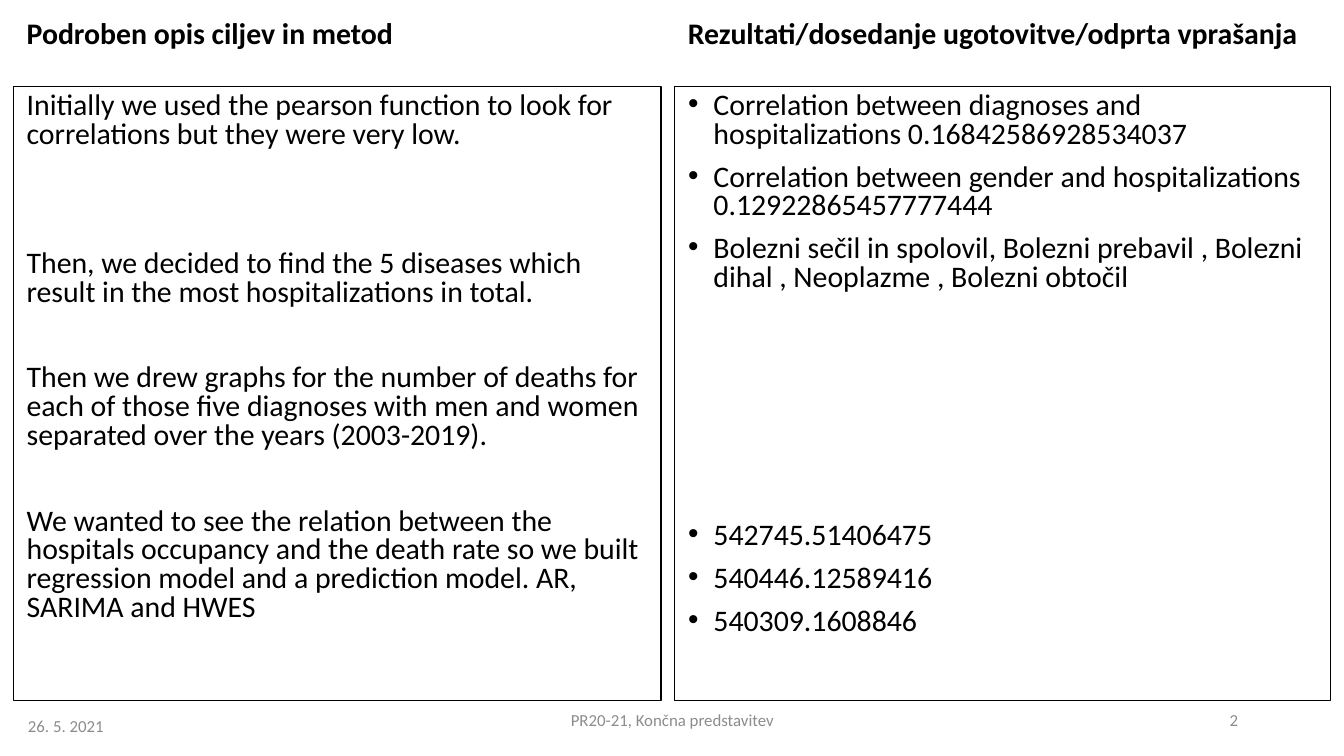
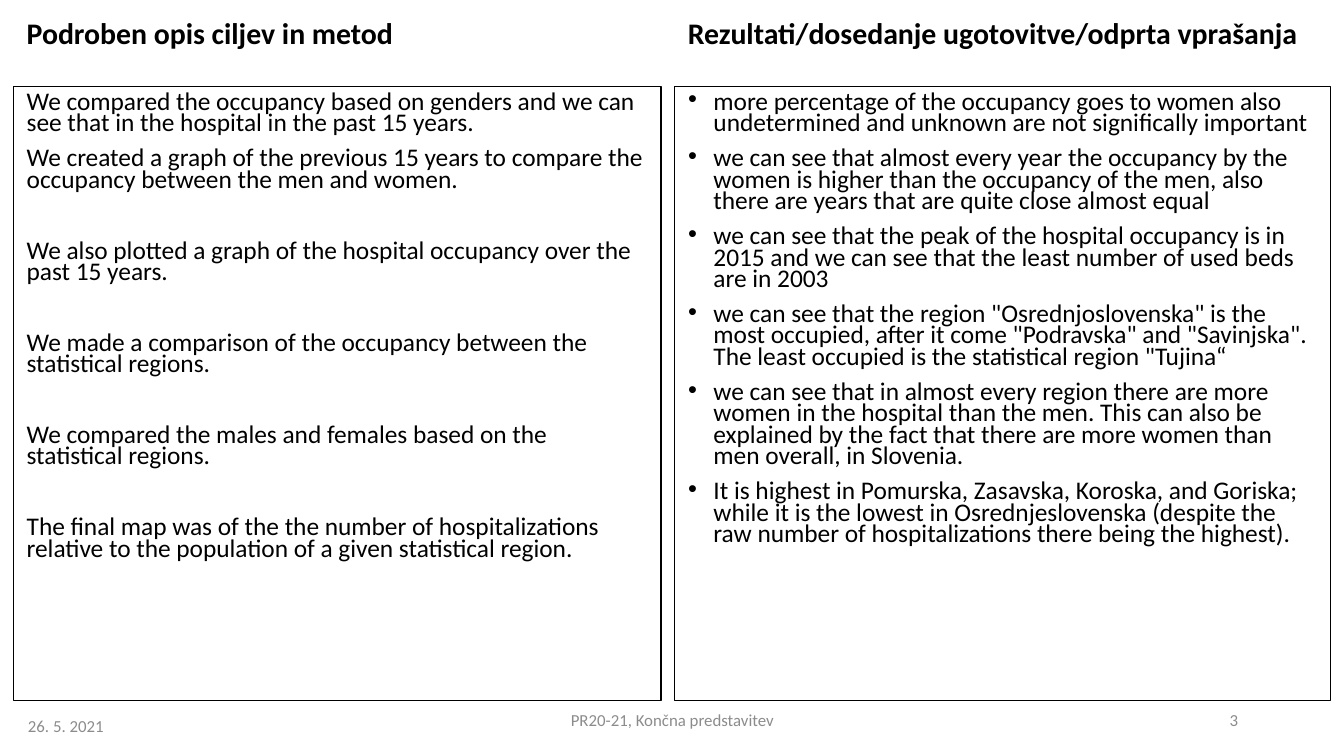
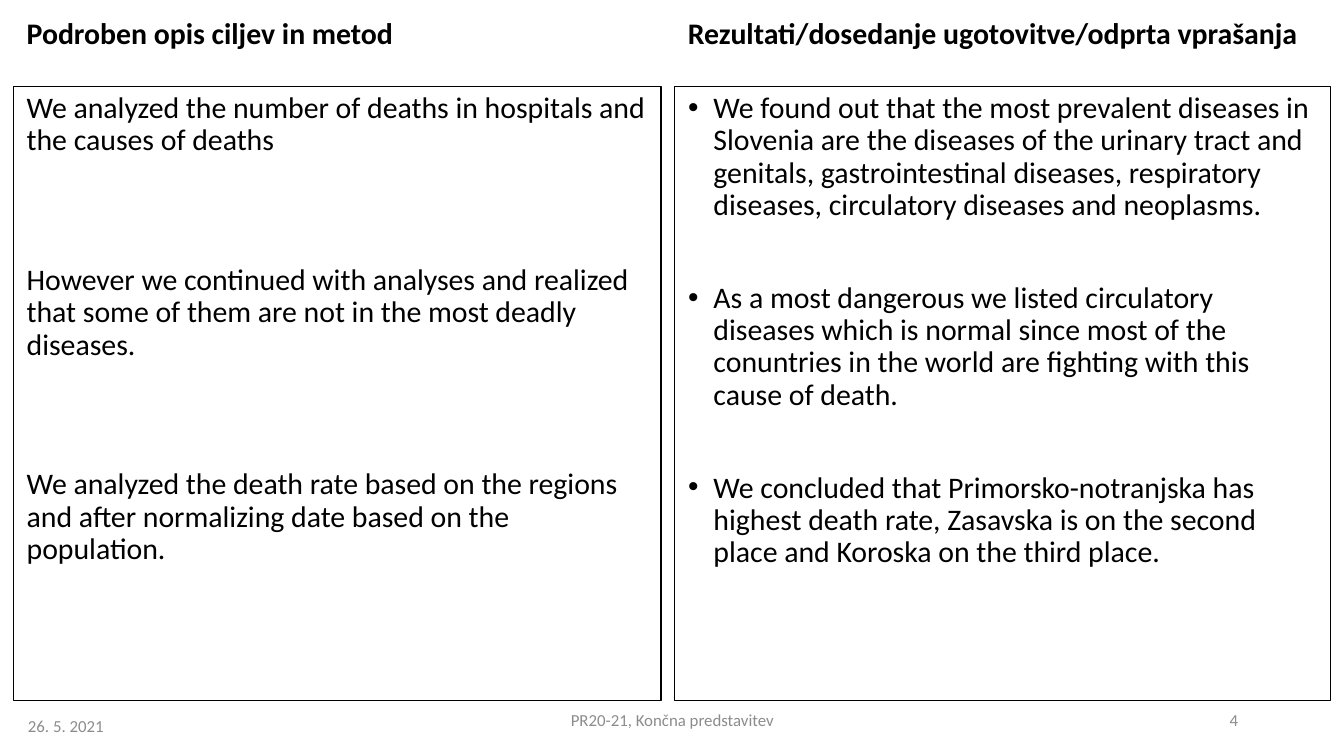
from lxml.etree import SubElement
from pptx import Presentation
from pptx.dml.color import RGBColor
from pptx.enum.text import MSO_ANCHOR, MSO_AUTO_SIZE, PP_ALIGN
from pptx.oxml.ns import qn
from pptx.util import Cm, Pt

COLORS = {"ink": "000000", "muted": "8C8C8C"}
FONT = "Calibri"
SPACE = 7.5  # points before each paragraph
LINE = 1.22  # Calibri line height per point of size
INDENT = Cm(0.48)

# Boxes in cm: left, top, width, height
LEFT = (0.25, 0.23, 12.24, 14.29)
RIGHT = (12.75, 0.23, 12.4, 14.29)
DATE = (0.28, 13.34, 10.44, 0.76)
FOOTER = (8.41, 13.23, 8.59, 0.76)
NUMBER = (17.93, 13.23, 5.72, 0.76)

AIMS = "Podroben opis ciljev in metod"
RESULTS = "Rezultati/dosedanje ugotovitve/odprta vprašanja"

# Each entry is (empty lines above, text)
PAGES = [
    {
        "size": 16, "lines": 0.8,
        "aims": [
            (0, "Initially we used the pearson function to look for correlations but they were very low."),
            (2, "Then, we decided to find the 5 diseases which result in the most hospitalizations in total."),
            (1, "Then we drew graphs for the number of deaths for each of those five diagnoses "
                "with men and women separated over the years (2003-2019)."),
            (1, "We wanted to see the relation between the hospitals occupancy and the death rate "
                "so we built regression model and a prediction model. AR, SARIMA and HWES"),
        ],
        "results": [
            (0, "Correlation between diagnoses and hospitalizations 0.16842586928534037"),
            (0, "Correlation between gender and hospitalizations 0.12922865457777444"),
            (0, "Bolezni sečil in spolovil, Bolezni prebavil , Bolezni dihal , Neoplazme , Bolezni obtočil"),
            (5, "542745.51406475"),
            (0, "540446.12589416"),
            (0, "540309.1608846"),
        ],
    },
    {
        "size": 13.6, "lines": 0.7,
        "aims": [
            (0, "We compared the occupancy based on genders and we can see that in the hospital "
                "in the past 15 years."),
            (0, "We created a graph of the previous 15 years to compare the occupancy "
                "between the men and women."),
            (1, "We also plotted a graph of the hospital occupancy over the past 15 years."),
            (1, "We made a comparison of the occupancy between the statistical regions."),
            (1, "We compared the males and females based on the statistical regions."),
            (1, "The final map was of the the number of hospitalizations relative to the population "
                "of a given statistical region."),
        ],
        "results": [
            (0, "more percentage of the occupancy goes to women also undetermined and unknown "
                "are not significally important"),
            (0, "we can see that almost every year the occupancy by the women is higher than "
                "the occupancy of the men, also there are years that are quite close almost equal"),
            (0, "we can see that the peak of the hospital occupancy is in 2015 and we can see "
                "that the least number of used beds are in 2003"),
            (0, 'we can see that the region "Osrednjoslovenska" is the most occupied, after it come '
                '"Podravska" and "Savinjska". The least occupied is the statistical region "Tujina“'),
            (0, "we can see that in almost every region there are more women in the hospital than the men. "
                "This can also be explained by the fact that there are more women than men overall, "
                "in Slovenia."),
            (0, "It is highest in Pomurska, Zasavska, Koroska, and Goriska; while it is the lowest in "
                "Osrednjeslovenska (despite the raw number of hospitalizations there being the highest)."),
        ],
    },
    {
        "size": 16, "lines": 0.9,
        "aims": [
            (0, "We analyzed the number of deaths in hospitals and the causes of deaths"),
            (2, "However we continued with analyses and realized that some of them are not "
                "in the most deadly diseases."),
            (2, "We analyzed the death rate based on the regions and after normalizing date "
                "based on the population."),
        ],
        "results": [
            (0, "We found out that the most prevalent diseases in Slovenia are the diseases of the "
                "urinary tract and genitals, gastrointestinal diseases, respiratory diseases, "
                "circulatory diseases and neoplasms."),
            (1, "As a most dangerous we listed circulatory diseases which is normal since most of the "
                "conuntries in the world are fighting with this cause of death."),
            (1, "We concluded that Primorsko-notranjska has highest death rate, Zasavska is on the "
                "second place and Koroska on the third place."),
        ],
    },
]


def color(name):
    return RGBColor.from_string(COLORS[name])


def place(shape, left, top, width, height):
    shape.left, shape.top = Cm(left), Cm(top)
    shape.width, shape.height = Cm(width), Cm(height)


def style(para, size, tint="ink", bold=False):
    for run in para.runs:
        font = run.font
        font.name, font.size, font.bold = FONT, Pt(size), bold
        font.color.rgb = color(tint)


def set_frame(shape, anchor):
    frame = shape.text_frame
    frame.word_wrap = True
    frame.auto_size = MSO_AUTO_SIZE.NONE
    frame.vertical_anchor = anchor
    return frame


def add_label(slide, box, text, align):
    shape = slide.shapes.add_textbox(*map(Cm, box))
    frame = set_frame(shape, MSO_ANCHOR.MIDDLE)
    frame.text = text
    para = frame.paragraphs[0]
    para.alignment = align
    style(para, 9, "muted")


def fill_head(shape, box, text):
    left, top, width, _ = box
    place(shape, left, top, width, 1.04)
    frame = set_frame(shape, MSO_ANCHOR.TOP)
    frame.text = text
    para = frame.paragraphs[0]
    para.alignment = PP_ALIGN.LEFT
    para.line_spacing, para.space_before = 0.9, Pt(SPACE)
    style(para, 16, bold=True)


def set_bullet(para, marked):
    props = para._p.get_or_add_pPr()
    props.set("marL", str(INDENT if marked else 0))
    props.set("indent", str(-INDENT if marked else 0))
    if marked:
        SubElement(props, qn("a:buFont")).set("typeface", "Arial")
        SubElement(props, qn("a:buChar")).set("char", "•")
    else:
        SubElement(props, qn("a:buNone"))


def fill_list(shape, box, items, page, marked):
    """Fill a framed column, turning empty lines into space before."""
    left, top, width, _ = box
    place(shape, left, top + 1.4, width, 11.61)
    shape.line.color.rgb = color("ink")
    shape.line.width = Pt(0.75)
    frame = set_frame(shape, MSO_ANCHOR.TOP)
    frame.text = "\n".join(text for _, text in items)
    size, lines = page["size"], page["lines"]
    step = SPACE + LINE * size * lines
    for para, (gap, _) in zip(frame.paragraphs, items):
        para.line_spacing = lines
        para.space_before = Pt(SPACE + gap * step)
        set_bullet(para, marked)
        style(para, size)


def add_footer(slide, number):
    add_label(slide, NUMBER, str(number), PP_ALIGN.RIGHT)
    add_label(slide, DATE, "26. 5. 2021", PP_ALIGN.LEFT)
    add_label(slide, FOOTER, "PR20-21, Končna predstavitev", PP_ALIGN.CENTER)


def add_page(deck, page, number):
    slide = deck.slides.add_slide(deck.slide_layouts.get_by_name("Two Content"))
    title, aims, results = slide.placeholders
    fill_head(title, LEFT, AIMS)
    fill_head(slide.shapes.add_textbox(0, 0, 0, 0), RIGHT, RESULTS)
    fill_list(aims, LEFT, page["aims"], page, False)
    fill_list(results, RIGHT, page["results"], page, True)
    add_footer(slide, number)


def main():
    deck = Presentation()
    deck.slide_width, deck.slide_height = Cm(25.4), Cm(14.29)
    for number, page in enumerate(PAGES, start=2):
        add_page(deck, page, number)
    deck.save("out.pptx")


if __name__ == "__main__":
    main()
